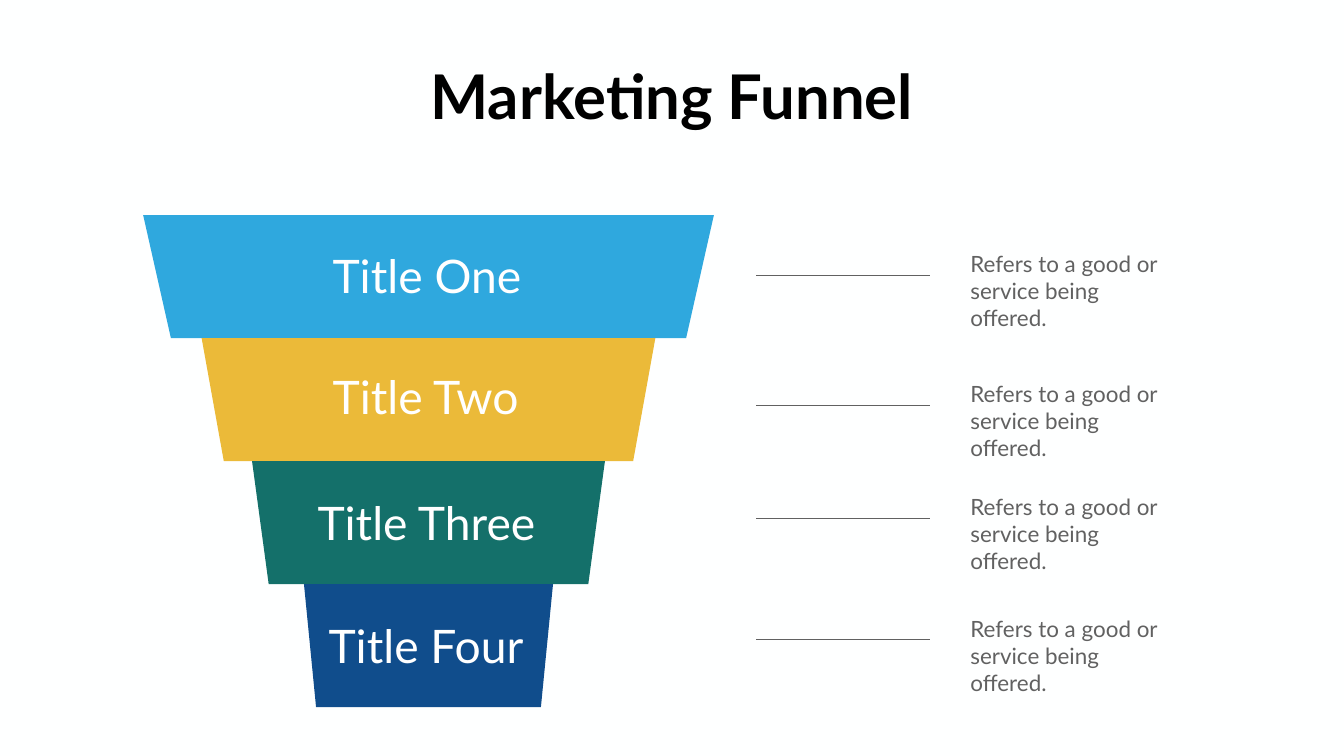
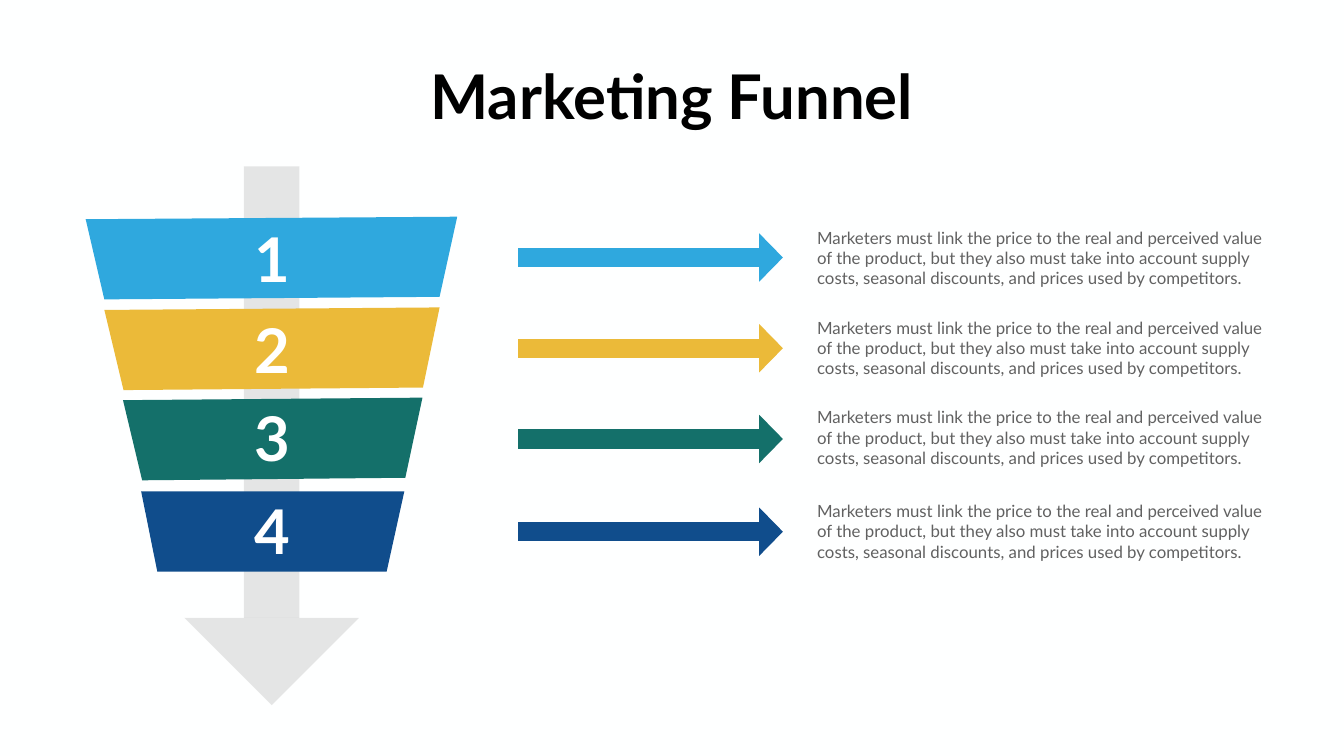
from lxml import etree
from pptx import Presentation
from pptx.dml.color import RGBColor
from pptx.enum import shapes, text
from pptx.oxml import ns
from pptx.util import Inches, Pt

FONT = "Lato"
PAPER = RGBColor(0xFE, 0xFF, 0xFF)
BLACK = RGBColor(0x00, 0x00, 0x00)
WHITE = RGBColor(0xFF, 0xFF, 0xFF)
TEXT_GREY = RGBColor(0x61, 0x61, 0x61)
SHAFT_GREY = RGBColor(0x80, 0x80, 0x80)
SKY = RGBColor(0x2F, 0xA8, 0xDE)
GOLD = RGBColor(0xEB, 0xBA, 0x39)
TEAL = RGBColor(0x14, 0x70, 0x6A)
NAVY = RGBColor(0x10, 0x4D, 0x8C)
TIER_COLORS = (SKY, GOLD, TEAL, NAVY)

OFFER = ("Refers to a good or", "service being offered.")
PRICE = (
    "Marketers must link the price to the real and perceived value of the product, "
    "but they also must take into account supply costs, seasonal discounts, "
    "and prices used by competitors."
)


class FunnelDeck:
    def __init__(self):
        self.deck = Presentation()
        self.deck.slide_width = Inches(26.66)
        self.deck.slide_height = Inches(15)
        fill = self.deck.slide_master.background.fill
        fill.solid()
        fill.fore_color.rgb = PAPER
        self.page = None

    def add_page(self, title):
        self.page = self.deck.slides.add_slide(self.deck.slide_layouts[5])
        box = self.page.shapes.title
        box.left, box.top, box.width, box.height = map(Inches, (8.32, 1.1, 10.01, 1.58))
        self.fill_text(box, [title], 88, BLACK, bold=True, wrap=False,
                       align=text.PP_ALIGN.CENTER)

    def fill_text(self, box, lines, size, color, bold=False, wrap=True,
                  align=text.PP_ALIGN.LEFT):
        frame = box.text_frame
        frame.word_wrap = wrap
        frame.auto_size = text.MSO_AUTO_SIZE.SHAPE_TO_FIT_TEXT
        frame.vertical_anchor = text.MSO_ANCHOR.TOP
        frame.text = "\n".join(lines)
        for para in frame.paragraphs:
            para.alignment = align
            para.font.name = FONT
            para.font.size = Pt(size)
            para.font.bold = bold
            para.font.color.rgb = color

    def add_text(self, left, top, width, height, lines, size, color, **style):
        box = self.page.shapes.add_textbox(*map(Inches, (left, top, width, height)))
        self.fill_text(box, lines, size, color, **style)

    def add_polygon(self, points, color, opacity=None):
        start, *others = [(Inches(x), Inches(y)) for x, y in points]
        builder = self.page.shapes.build_freeform(*start)
        builder.add_line_segments(others, close=True)
        outline = builder.convert_to_shape()
        outline.shadow.inherit = False
        outline.fill.solid()
        outline.fill.fore_color.rgb = color
        outline.line.fill.background()
        if opacity is not None:
            tint = outline._element.spPr.find(".//" + ns.qn("a:srgbClr"))
            etree.SubElement(tint, ns.qn("a:alpha")).set("val", str(opacity * 1000))

    def add_rule(self, left, right, y):
        rule = self.page.shapes.add_connector(
            shapes.MSO_CONNECTOR.STRAIGHT, *map(Inches, (left, y, right, y)))
        rule.line.color.rgb = TEXT_GREY
        rule.line.width = Pt(0.57)
        etree.SubElement(rule._element.spPr, ns.qn("a:effectLst"))

    def add_block_arrow(self, middle, color):
        left, neck, tip = 10.28, 15.06, 15.53
        upper, lower = middle - 0.19, middle + 0.19
        self.add_polygon([(neck, lower), (left, lower), (left, upper), (neck, upper)],
                         color)
        self.add_polygon([(neck, middle - 0.48), (tip, middle), (neck, middle + 0.48)],
                         color)


def build_titled_funnel(funnel):
    funnel.add_page("Marketing Funnel")
    center, first_top, tier_height = 8.5, 4.27, 2.44
    half_widths = ((5.66, 5.11), (4.5, 4.06), (3.5, 3.17), (2.47, 2.23))
    for index, ((wide, narrow), color) in enumerate(zip(half_widths, TIER_COLORS)):
        top = first_top + index * tier_height
        bottom = top + tier_height
        funnel.add_polygon([(center - wide, top), (center - narrow, bottom),
                            (center + narrow, bottom), (center + wide, top)], color)

    for rule_y, offer_top in ((5.47, 4.91), (8.04, 7.49), (10.28, 9.73), (12.69, 12.15)):
        funnel.add_rule(15, 18.44, rule_y)
        funnel.add_text(19.15, offer_top, 4.18, 1.11, OFFER, 32, TEXT_GREY)

    labels = (("Title One", 6.5, 4.86, 4), ("Title Two", 6.5, 7.26, 4.05),
              ("Title Three", 6.2, 9.76, 4.63), ("Title Four", 6.42, 12.2, 4.15))
    for label, left, top, width in labels:
        funnel.add_text(left, top, width, 1.21, [label], 66, WHITE, wrap=False)


def build_numbered_funnel(funnel):
    funnel.add_page("Marketing Funnel")
    funnel.add_polygon([(5.94, 12.26), (4.84, 12.26), (4.84, 3.3), (5.94, 3.3)],
                       SHAFT_GREY, opacity=20)
    funnel.add_polygon([(7.12, 12.26), (5.39, 13.99), (3.66, 12.26)],
                       SHAFT_GREY, opacity=20)

    tiers = (
        (4.3, 0.05, (1.7, 2.07, 8.72, 9.07)),
        (6.1, 0.05, (2.07, 2.45, 8.39, 8.72)),
        (7.89, 0.05, (2.44, 2.82, 8.04, 8.38)),
        (9.75, 0, (2.8, 3.12, 7.67, 8.02)),
    )
    for (top, tilt, corners), color in zip(tiers, TIER_COLORS):
        bottom = top + 1.59
        heights = (top + tilt, bottom + tilt, bottom, top)
        funnel.add_polygon(list(zip(corners, heights)), color)

    rows = ((5.11, 4.33, 4.46), (6.91, 6.13, 6.25), (8.71, 7.89, 8.03), (10.55, 9.74, 9.89))
    for number, (row, color) in enumerate(zip(rows, TIER_COLORS), start=1):
        arrow_middle, number_top, price_top = row
        funnel.add_block_arrow(arrow_middle, color)
        funnel.add_text(4.95, number_top, 0.92, 1.58, [str(number)], 88, WHITE,
                        bold=True, wrap=False)
        funnel.add_text(16.11, price_top, 9.29, 1.31, [PRICE], 24, TEXT_GREY)


def main():
    funnel = FunnelDeck()
    build_titled_funnel(funnel)
    build_numbered_funnel(funnel)
    funnel.deck.save("out.pptx")


if __name__ == "__main__":
    main()
